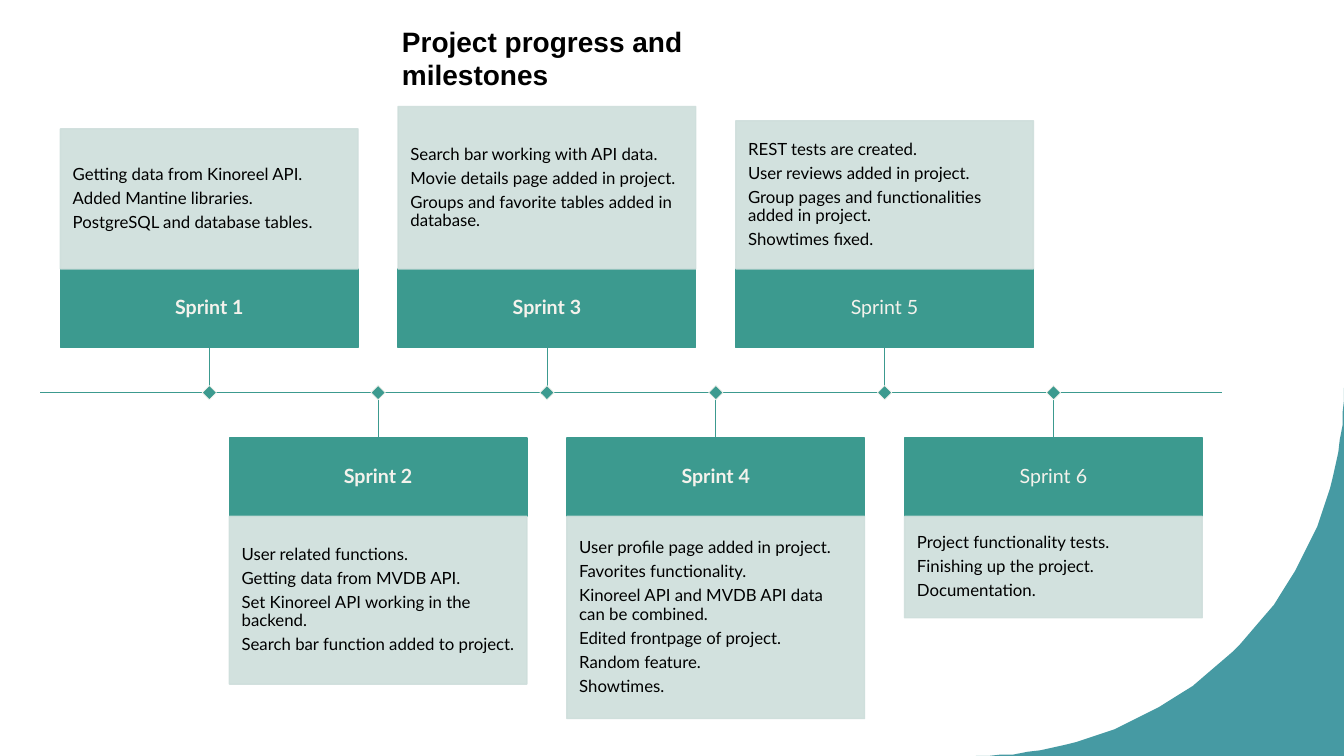
from math import cos, radians, sin

from lxml import etree
from pptx import Presentation
from pptx.dml.color import RGBColor
from pptx.enum.shapes import MSO_CONNECTOR as CONN, MSO_SHAPE as SHAPE
from pptx.enum.text import MSO_ANCHOR as ANCHOR, PP_ALIGN as ALIGN
from pptx.oxml.ns import qn
from pptx.util import Pt

TEAL, PALE, CREAM, CORNER, BLACK = "3C9A8F", "CEDEDB", "F4F2EC", "18818C", "000000"

# Header name, bold header, body height, body lines
SPRINTS = [
    ("Sprint 1", True, 100, [
        "Getting data from Kinoreel API.",
        "Added Mantine libraries.",
        "PostgreSQL and database tables."]),
    ("Sprint 2", True, 119.8, [
        "User related functions.",
        "Getting data from MVDB API.",
        "Set Kinoreel API working in the backend.",
        "Search bar function added to project."]),
    ("Sprint 3", True, 116, [
        "Search bar working with API data.",
        "Movie details page added in project.",
        "Groups and favorite tables added in database."]),
    ("Sprint 4", True, 144.4, [
        "User profile page added in project.",
        "Favorites functionality.",
        "Kinoreel API and MVDB API data can be combined.",
        "Edited frontpage of project.",
        "Random feature.",
        "Showtimes."]),
    ("Sprint 5", False, 105.8, [
        "REST tests are created.",
        "User reviews added in project.",
        "Group pages and functionalities added in project.",
        "Showtimes fixed."]),
    ("Sprint 6", False, 72.4, [
        "Project functionality tests.",
        "Finishing up the project.",
        "Documentation."]),
]


def paint(fmt, color, alpha=100):
    """Apply a solid colour to a fill, with optional opacity in percent."""
    fmt.solid()
    fmt.fore_color.rgb = RGBColor.from_string(color)
    if alpha < 100:
        clr = fmt._xPr.find(qn("a:solidFill"))[0]
        etree.SubElement(clr, qn("a:alpha"), val=str(alpha * 1000))


def add_box(s, x, y, w, h, color, line=None, line_width=1, alpha=100):
    sp = s.shapes.add_shape(SHAPE.RECTANGLE, Pt(x), Pt(y), Pt(w), Pt(h))
    sp.shadow.inherit = False
    paint(sp.fill, color, alpha)
    paint(sp.line.fill, line or color, alpha)
    sp.line.width = Pt(line_width)
    return sp


def add_line(s, x1, y1, x2, y2, width):
    ln = s.shapes.add_connector(CONN.STRAIGHT, Pt(x1), Pt(y1), Pt(x2), Pt(y2))
    paint(ln.line.fill, TEAL)
    ln.line.width = Pt(width)
    etree.SubElement(ln._element.spPr, qn("a:effectLst"))


def write(sp, lines, size, color, inset, align=ALIGN.LEFT, bold=False):
    tf = sp.text_frame
    tf.word_wrap = True
    tf.vertical_anchor = ANCHOR.MIDDLE
    tf.margin_left = tf.margin_right = tf.margin_top = tf.margin_bottom = Pt(inset)
    for i, line in enumerate(lines):
        p = tf.paragraphs[0] if i == 0 else tf.add_paragraph()
        p.text = line
        p.alignment = align
        p.line_spacing = 0.9
        p.space_after = Pt(0.35 * size)
        p.font.name, p.font.size, p.font.bold = "Lato", Pt(size), bold
        p.font.color.rgb = RGBColor.from_string(color)


def add_corner(s, x, y, w, h):
    """Fill the part of the box that lies outside its lower right quarter circle."""
    fb = s.shapes.build_freeform(x + w, y + h, scale=Pt(1))
    arc = [radians(a) for a in range(90, -1, -2)]
    fb.add_line_segments([(x + w * cos(a), y + h * sin(a)) for a in arc])
    sp = fb.convert_to_shape()
    sp.shadow.inherit = False
    paint(sp.fill, CORNER, 80)
    sp.line.fill.background()


def add_title(s, x, y, w, h):
    tf = s.shapes.add_textbox(Pt(x), Pt(y), Pt(w), Pt(h)).text_frame
    tf.word_wrap = True
    p = tf.paragraphs[0]
    p.text = "Project progress and milestones"
    p.font.name, p.font.size, p.font.bold = "Arial", Pt(20), True
    p.font.color.rgb = RGBColor.from_string(BLACK)


def add_sprint(s, x, axis_y, w, above, sprint):
    """Place one card above or below the axis, with its stem and marker."""
    name, bold, body_h, lines = sprint
    gap, head_h, mark = 32.4, 56, 7.2
    mid = x + w / 2
    if above:
        edge = axis_y - gap
        head_y = edge - head_h
        body_y = head_y - body_h
    else:
        edge = head_y = axis_y + gap
        body_y = head_y + head_h

    # Header and body
    head = add_box(s, x, head_y, w, head_h, TEAL)
    write(head, [name], 14, CREAM, 5.6, ALIGN.CENTER, bold)
    body = add_box(s, x, body_y, w, body_h, PALE, alpha=90)
    write(body, lines, 12, BLACK, 8.8)

    # Stem and marker
    add_line(s, mid, min(edge, axis_y), mid, max(edge, axis_y), 0.5)
    marker = add_box(s, mid - mark / 2, axis_y - mark / 2, mark, mark, TEAL, CREAM, 0.5)
    marker.rotation = 45


def add_timeline(s, x, y, w):
    add_line(s, x, y, x + w, y, 1)
    pitch, card_w, indent = 120.6, 212.6, 14.4
    for i, sprint in enumerate(SPRINTS):
        add_sprint(s, x + indent + i * pitch, y, card_w, i % 2 == 0, sprint)


def main():
    prs = Presentation()
    prs.slide_width, prs.slide_height = Pt(960), Pt(540)
    s = prs.slides.add_slide(prs.slide_layouts[6])
    add_corner(s, 697, 277, 263, 263)
    add_timeline(s, 28.8, 280.5, 844.4)
    add_title(s, 280, 13.6, 290, 32)
    prs.save("out.pptx")


if __name__ == "__main__":
    main()
